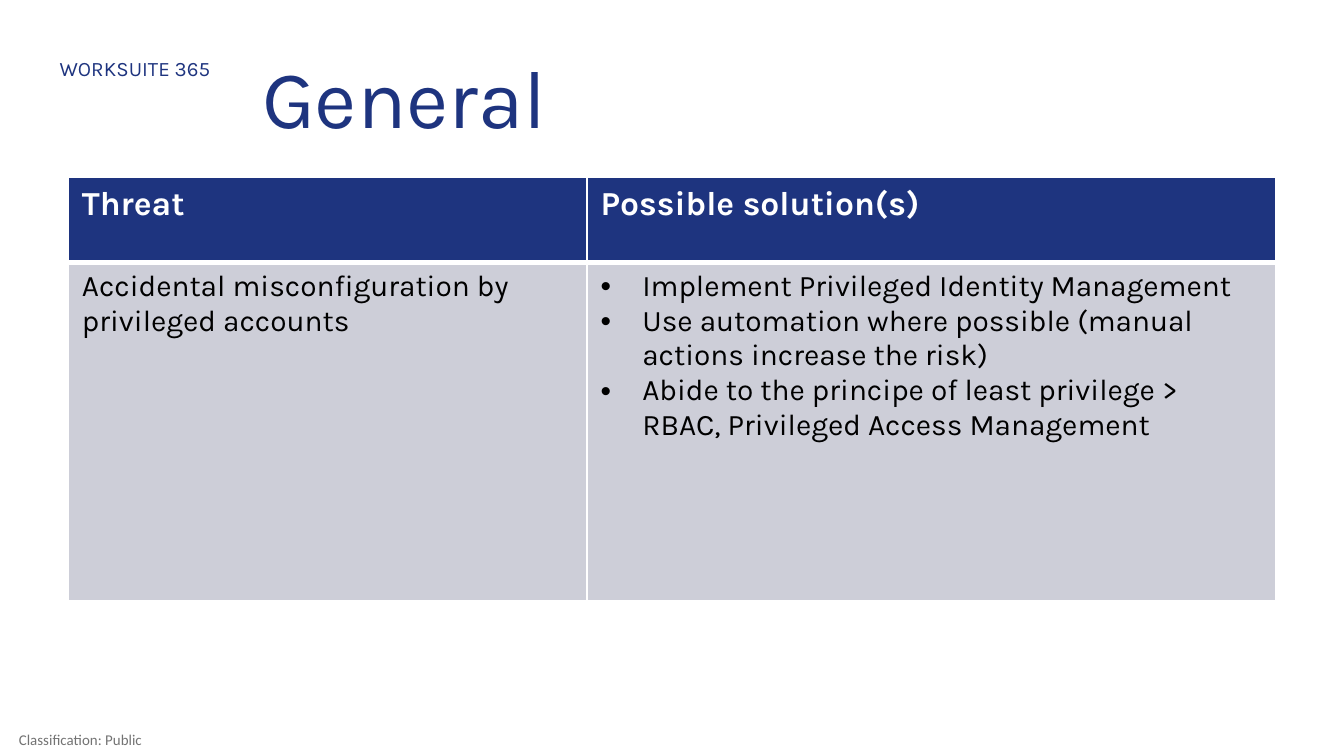
from lxml import etree
from pptx import Presentation
from pptx.dml.color import RGBColor
from pptx.enum.text import MSO_ANCHOR, MSO_AUTO_SIZE, PP_ALIGN
from pptx.oxml.ns import qn
from pptx.util import Inches, Pt

LEFT, CENTER = PP_ALIGN.LEFT, PP_ALIGN.CENTER
TOP, MIDDLE = MSO_ANCHOR.TOP, MSO_ANCHOR.MIDDLE
NO_FIT = MSO_AUTO_SIZE.NONE
HUES = {"navy": "1E347F", "grey": "CDCED8", "white": "FFFFFF",
        "black": "000000", "note": "737373"}


def write(para, text, size, hue, font="Karla", bold=False):
    run = para.add_run()
    run.text = text
    run.font.name = font
    run.font.size = Pt(size)
    run.font.bold = bold
    run.font.color.rgb = RGBColor.from_string(HUES[hue])


def edge(cell, side, width):
    line = etree.SubElement(cell._tc.get_or_add_tcPr(), qn("a:" + side), w=str(Pt(width)))
    fill = etree.SubElement(line, qn("a:solidFill"))
    etree.SubElement(fill, qn("a:srgbClr"), val=HUES["white"])


# Widescreen slide, 16 to 9
deck = Presentation()
deck.slide_width = Inches(10)
deck.slide_height = Inches(10 * 9 / 16)
slide = deck.slides.add_slide(deck.slide_layouts[5])

# Topic label and classification note
labels = [
    ((0.2, 0.37, 1.61, 0.29), "WORKSUITE 365", 11, "navy", "Karla", CENTER, TOP, 0.1, 0.1, 0.05),
    ((0, 5.38, 1.19, 0.25), "Classification: Public", 8, "note", "Calibri", LEFT, MIDDLE, 0.14, 0, 0),
]
for place, text, size, hue, font, align, anchor, left, right, rim in labels:
    frame = slide.shapes.add_textbox(*map(Inches, place)).text_frame
    frame.word_wrap = True
    frame.vertical_anchor = anchor
    frame.margin_left, frame.margin_right = Inches(left), Inches(right)
    frame.margin_top = frame.margin_bottom = Inches(rim)
    frame.paragraphs[0].alignment = align
    write(frame.paragraphs[0], text, size, hue, font)

# Threat table: each cell is a list of paragraphs
rows = [
    [["Threat"], ["Possible solution(s)"]],
    [["Accidental misconfiguration by privileged accounts"],
     ["Implement Privileged Identity Management",
      "Use automation where possible (manual actions increase the risk)",
      "Abide to the principe of least privilege > RBAC, Privileged Access Management"]],
]
wide, tall = [3.86, 5.12], [0.63, 2.52]
grid = slide.shapes.add_table(2, 2, Inches(0.51), Inches(1.32),
                              Inches(sum(wide)), Inches(sum(tall))).table
for i in range(2):
    grid.columns[i].width = Inches(wide[i])
    grid.rows[i].height = Inches(tall[i])

for r, row in enumerate(rows):
    head = r == 0
    for c, lines in enumerate(row):
        cell = grid.cell(r, c)
        for side in ("lnL", "lnR", "lnT", "lnB"):
            thick = side == ("lnB" if head else "lnT")
            edge(cell, side, 3 if thick else 1)
        cell.fill.solid()
        cell.fill.fore_color.rgb = RGBColor.from_string(HUES["navy" if head else "grey"])
        frame = cell.text_frame
        for n, text in enumerate(lines):
            para = frame.add_paragraph() if n else frame.paragraphs[0]
            write(para, text, 18 if head else 16, "white" if head else "black", bold=head)
            # Bullets for the list of solutions
            if len(lines) > 1:
                props = para._p.get_or_add_pPr()
                props.set("marL", str(Inches(0.31)))
                props.set("indent", str(-Inches(0.31)))
                etree.SubElement(props, qn("a:buFont"), typeface="Arial")
                etree.SubElement(props, qn("a:buChar"), char="•")

# Title
title = slide.shapes.title
title.left, title.top = Inches(1.85), Inches(0.29)
title.width, title.height = Inches(7.64), Inches(0.94)
frame = title.text_frame
frame.auto_size = NO_FIT
frame.vertical_anchor = MIDDLE
para = frame.paragraphs[0]
para.alignment = LEFT
para.line_spacing = 0.9
write(para, "General", 44, "navy")

deck.save("out.pptx")
